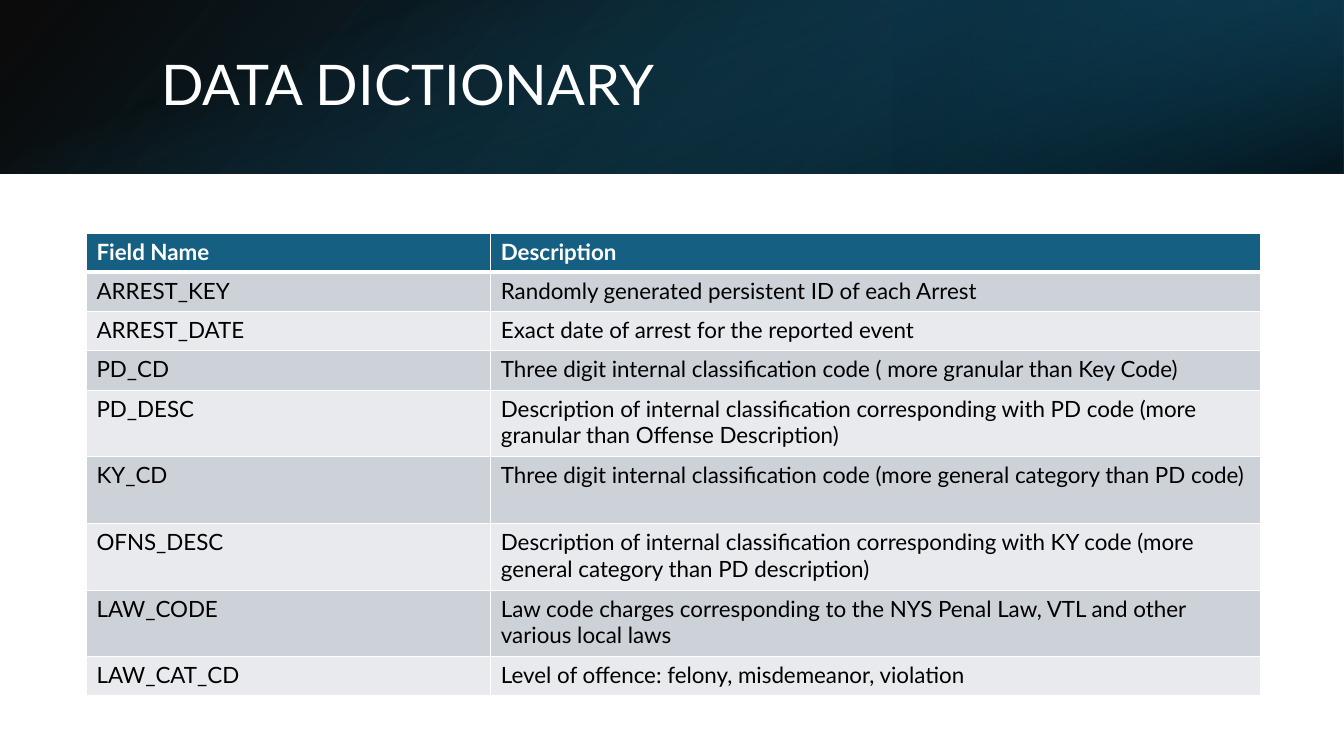
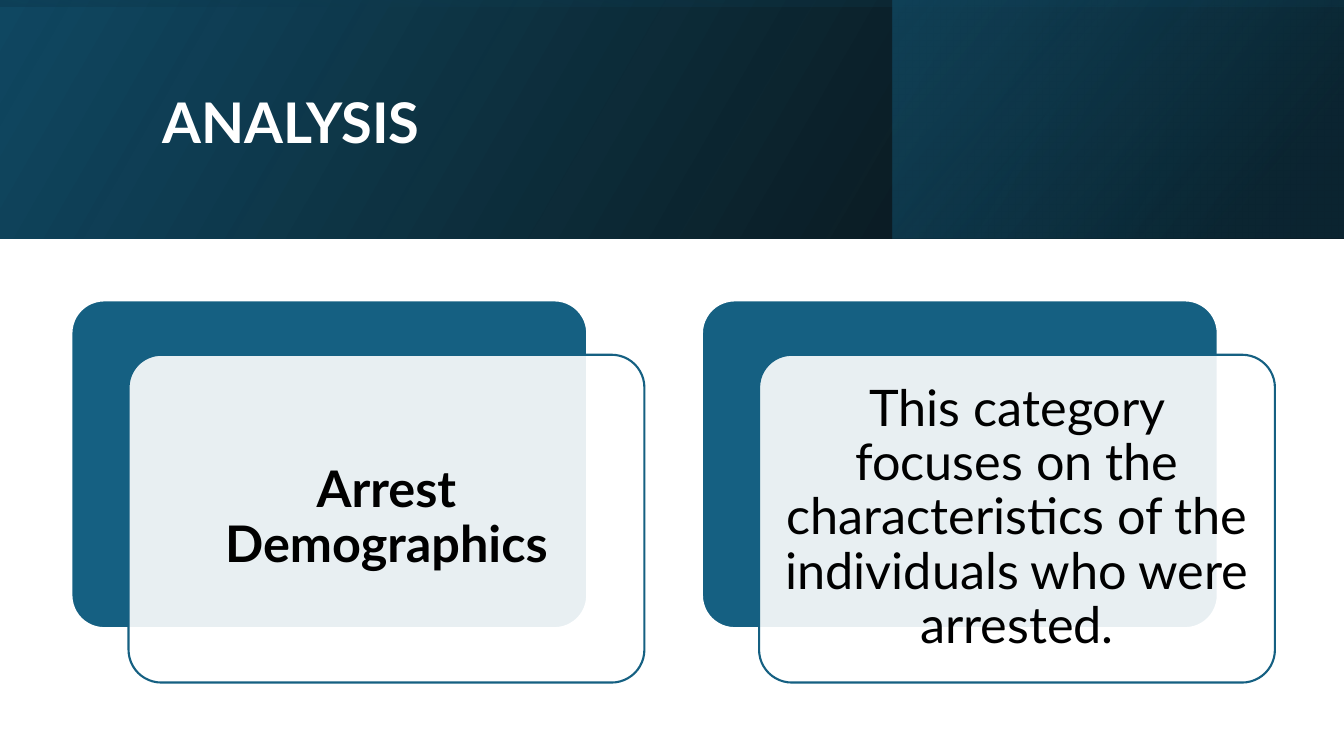
"""Build a data dictionary slide and an analysis slide with shaded title bands."""
from lxml.etree import SubElement
from pptx import Presentation
from pptx.dml.color import RGBColor
from pptx.enum.shapes import MSO_SHAPE
from pptx.enum.text import MSO_ANCHOR, PP_ALIGN
from pptx.oxml.ns import qn
from pptx.util import Cm, Pt

COLORS = {
    "white": "FFFFFF",
    "black": "000000",
    "teal": "156082",
    "blue": "104862",
    "navy": "0B3041",
    "row_dark": "CCD2D8",
    "row_light": "E8EAED",
}
FONT = "Lato"
WIDTH = 33.87
HEIGHT = 19.05


def color(name):
    return RGBColor.from_string(COLORS[name])


def style(paragraph, size, name, bold=False):
    font = paragraph.font
    font.name, font.size, font.bold = FONT, Pt(size), bold
    font.color.rgb = color(name)


deck = Presentation()
deck.slide_width, deck.slide_height = Cm(WIDTH), Cm(HEIGHT)

# title, bold, title box, band height, layers
# layer: side start (None for an upright full-width strip), rotation, flip, angle, stops
headers = [
    ("DATA DICTIONARY", False, (3.81, 0.97, 27.89, 2.44), 4.37, [
        ("full", 0, True, 140, [(0, "black", 96), (1, "blue", 100)]),
        ("right", 180, True, 320, [(0.19, "navy", 68), (1, "teal", 79)]),
        ("turned", 90, False, 340, [(0.23, "teal", 0), (0.99, "black", 74)]),
    ]),
    ("ANALYSIS", True, (3.84, 0.97, 27, 4.37), 6.02, [
        ("full", 0, True, 330, [(0, "black", 96), (1, "blue", 100)]),
        ("right", 0, True, 320, [(0.19, "navy", 68), (1, "teal", 48)]),
        ("turned", 270, True, 350, [(0.23, "blue", 16), (0.99, "black", 45)]),
    ]),
]
pages = []
for title, bold, title_place, band, layers in headers:
    page = deck.slides.add_slide(deck.slide_layouts[6])
    pages.append(page)
    offset = (WIDTH - band) / 2
    places = {
        "full": (0, 0, WIDTH, band),
        "right": (22.5, 0, WIDTH - 22.5, band),
        "turned": (offset, -offset, band, WIDTH),
    }
    for place, rotation, flipped, angle, stops in layers:
        layer = page.shapes.add_shape(MSO_SHAPE.RECTANGLE, *map(Cm, places[place]))
        layer.shadow.inherit = False
        layer.line.fill.background()
        layer.rotation = rotation
        properties = layer._element.spPr
        if flipped:
            properties.find(qn("a:xfrm")).set("flipH", "1")
        layer.fill.gradient()
        layer.fill.gradient_angle = 360 - angle
        for stop, (position, name, alpha) in zip(layer.fill.gradient_stops, stops):
            stop.position = position
            stop.color.rgb = color(name)
        for element, (position, name, alpha) in zip(properties.iter(qn("a:srgbClr")), stops):
            SubElement(element, qn("a:alpha"), val=str(alpha * 1000))

    box = page.shapes.add_textbox(*map(Cm, title_place))
    box.text_frame.word_wrap = True
    box.text_frame.vertical_anchor = MSO_ANCHOR.MIDDLE
    paragraph = box.text_frame.paragraphs[0]
    paragraph.text = title
    paragraph.line_spacing = 0.9
    style(paragraph, 40, "white", bold)

dictionary_page, analysis_page = pages

SINGLE, DOUBLE = 0.99, 1.68
fields = [
    ("Field Name", "Description", SINGLE),
    ("ARREST_KEY", "Randomly generated persistent ID of each Arrest", SINGLE),
    ("ARREST_DATE", "Exact date of arrest for the reported event", SINGLE),
    ("PD_CD", "Three digit internal classification code ( more granular than Key Code)", SINGLE),
    ("PD_DESC", "Description of internal classification corresponding with PD code "
                "(more granular than Offense Description)", DOUBLE),
    ("KY_CD", "Three digit internal classification code "
              "(more general category than PD code)", DOUBLE),
    ("OFNS_DESC", "Description of internal classification corresponding with KY code "
                  "(more general category than PD description)", DOUBLE),
    ("LAW_CODE", "Law code charges corresponding to the NYS Penal Law, VTL and other "
                 "various local laws", DOUBLE),
    ("LAW_CAT_CD", "Level of offence: felony, misdemeanor, violation", SINGLE),
]
column_widths = (10.19, 19.4)
table = dictionary_page.shapes.add_table(
    len(fields), 2, Cm(2.18), Cm(5.87), Cm(sum(column_widths)),
    Cm(sum(field[2] for field in fields))).table
for column, width in zip(table.columns, column_widths):
    column.width = Cm(width)
for index, (name, description, height) in enumerate(fields):
    table.rows[index].height = Cm(height)
    header = index == 0
    fill = "teal" if header else ("row_light", "row_dark")[index % 2]
    for cell, text in zip(table.rows[index].cells, (name, description)):
        cell.text = text
        style(cell.text_frame.paragraphs[0], 16, "white" if header else "black", header)
        properties = cell._tc.get_or_add_tcPr()
        for side in ("lnL", "lnR", "lnT", "lnB"):
            thick = (index, side) in ((0, "lnB"), (1, "lnT"))
            border = SubElement(properties, qn(f"a:{side}"), w=str(Pt(3 if thick else 1)))
            solid = SubElement(border, qn("a:solidFill"))
            SubElement(solid, qn("a:srgbClr"), val=COLORS["white"])
        cell.fill.solid()
        cell.fill.fore_color.rgb = color(fill)

cards = [
    ("Arrest Demographics", True),
    ("This category focuses on the characteristics of the individuals who were arrested.", False),
]
for index, (text, bold) in enumerate(cards):
    left = 1.8 + index * 15.89
    for x, y, fill, line in ((left, 7.57, "teal", "white"), (left + 1.44, 8.94, "white", "teal")):
        card = analysis_page.shapes.add_shape(
            MSO_SHAPE.ROUNDED_RECTANGLE, Cm(x), Cm(y), Cm(13), Cm(8.26))
        card.adjustments[0] = 0.1
        card.shadow.inherit = False
        card.fill.solid()
        card.fill.fore_color.rgb = color(fill)
        card.line.color.rgb = color(line)
        card.line.width = Pt(1.5)
    front_color = card._element.spPr.find(qn("a:solidFill")).find(qn("a:srgbClr"))
    SubElement(front_color, qn("a:alpha"), val="90000")
    frame = card.text_frame
    frame.word_wrap = True
    frame.vertical_anchor = MSO_ANCHOR.MIDDLE
    frame.margin_left = frame.margin_right = frame.margin_top = frame.margin_bottom = Cm(0.38)
    paragraph = frame.paragraphs[0]
    paragraph.text = text
    paragraph.alignment = PP_ALIGN.CENTER
    paragraph.line_spacing = 0.9
    style(paragraph, 36, "black", bold)

deck.save("out.pptx")
